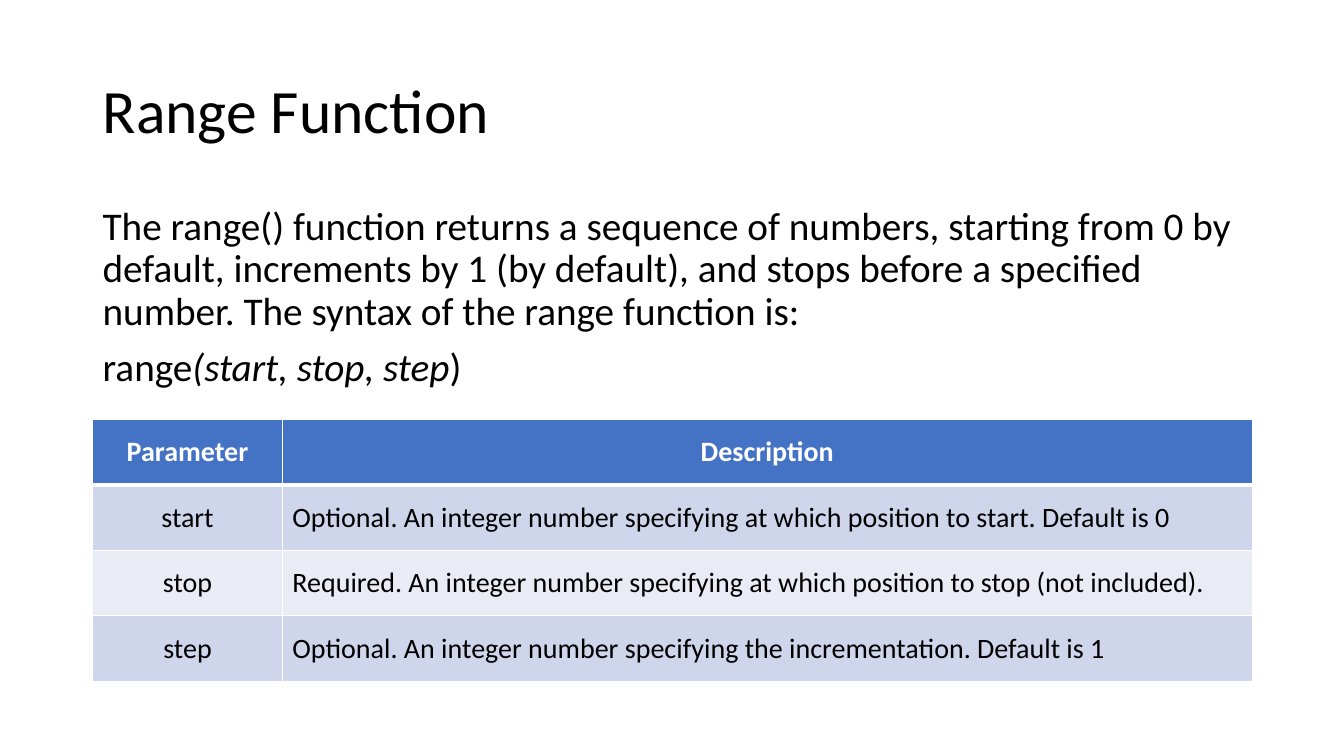
from lxml import etree
from pptx import Presentation
from pptx.dml.color import RGBColor
from pptx.enum.text import MSO_ANCHOR, PP_ALIGN
from pptx.oxml.ns import qn
from pptx.util import Pt

MIDDLE, TOP = MSO_ANCHOR.MIDDLE, MSO_ANCHOR.TOP
CENTER, LEFT = PP_ALIGN.CENTER, PP_ALIGN.LEFT

# Content: each paragraph is a list of (text, italic) runs
TITLE = [[("Range Function", False)]]
BODY = [
    [("The range() function returns a sequence of numbers, starting from 0 by "
      "default, increments by 1 (by default), and stops before a specified "
      "number. The syntax of the range function is:", False)],
    [("range", False), ("(start, stop, step", True), (")", False)],
]
PARAMETERS = [
    ("Parameter", "Description"),
    ("start", "Optional. An integer number specifying at which position to start. Default is 0"),
    ("stop", "Required. An integer number specifying at which position to stop (not included)."),
    ("step", "Optional. An integer number specifying the incrementation. Default is 1"),
]

# Layout in px, 100 to the inch
EMU_PER_PX = 9144
SLIDE_SIZE = (1333, 750)
MARGIN, CONTENT_WIDTH = 92, 1150
TITLE_TOP, TITLE_HEIGHT = 40, 145
BODY_TOP, BODY_HEIGHT = 200, 476
TABLE_TOP, ROW_HEIGHT = 416, 65
COLUMN_WIDTHS = (188, 962)

FONT = "Calibri"
BLACK, WHITE = "000000", "FFFFFF"
HEADER_FILL, BAND_FILLS = "4472C4", ("E9EBF5", "CFD5EA")
THIN, THICK = 1, 3


def px(length):
    return length * EMU_PER_PX


def color(value):
    return RGBColor.from_string(value)


def apply_format(target, values):
    for name, value in values.items():
        setattr(target, name, value)


def add_run(paragraph, text, size, font_color, **font_format):
    run = paragraph.add_run()
    run.text = text
    apply_format(run.font, {"name": FONT, "size": Pt(size), **font_format})
    run.font.color.rgb = color(font_color)


def add_text(slide, paragraphs, top, height, size, anchor, space_before):
    box = slide.shapes.add_textbox(px(MARGIN), px(top), px(CONTENT_WIDTH), px(height))
    frame = box.text_frame
    apply_format(frame, {"word_wrap": True, "vertical_anchor": anchor})
    for index, runs in enumerate(paragraphs):
        paragraph = frame.add_paragraph() if index else frame.paragraphs[0]
        apply_format(paragraph, {"line_spacing": 0.9, "space_before": Pt(space_before)})
        for text, italic in runs:
            add_run(paragraph, text, size, BLACK, italic=italic)


def set_borders(cell, widths):
    properties = cell._tc.get_or_add_tcPr()
    for position, (side, width) in enumerate(widths.items()):
        line = etree.Element(qn(f"a:ln{side}"), w=str(Pt(width)))
        fill = etree.SubElement(line, qn("a:solidFill"))
        etree.SubElement(fill, qn("a:srgbClr"), val=WHITE)
        properties.insert(position, line)


def add_parameter_table(slide):
    row_count = len(PARAMETERS)
    table = slide.shapes.add_table(
        row_count, len(COLUMN_WIDTHS), px(MARGIN), px(TABLE_TOP),
        px(CONTENT_WIDTH), px(ROW_HEIGHT * row_count)).table
    for column, width in zip(table.columns, COLUMN_WIDTHS):
        column.width = px(width)
    for row_index, texts in enumerate(PARAMETERS):
        table.rows[row_index].height = px(ROW_HEIGHT)
        header = row_index == 0
        for column_index, text in enumerate(texts):
            cell = table.cell(row_index, column_index)
            cell.vertical_anchor = MIDDLE
            cell.fill.solid()
            cell.fill.fore_color.rgb = color(HEADER_FILL if header else BAND_FILLS[row_index % 2])
            paragraph = cell.text_frame.paragraphs[0]
            paragraph.alignment = CENTER if header or column_index == 0 else LEFT
            add_run(paragraph, text, 20, WHITE if header else BLACK, bold=header)
            # The rule below the header is shared with the row under it
            set_borders(cell, {"L": THIN, "R": THIN,
                               "T": THICK if row_index == 1 else THIN,
                               "B": THICK if header else THIN})


def main():
    presentation = Presentation()
    presentation.slide_width, presentation.slide_height = map(px, SLIDE_SIZE)
    slide = presentation.slides.add_slide(presentation.slide_layouts[6])

    # Title, explanation and parameter table
    add_text(slide, TITLE, TITLE_TOP, TITLE_HEIGHT, 44, MIDDLE, 0)
    add_text(slide, BODY, BODY_TOP, BODY_HEIGHT, 28, TOP, 10)
    add_parameter_table(slide)

    presentation.save("out.pptx")


if __name__ == "__main__":
    main()
